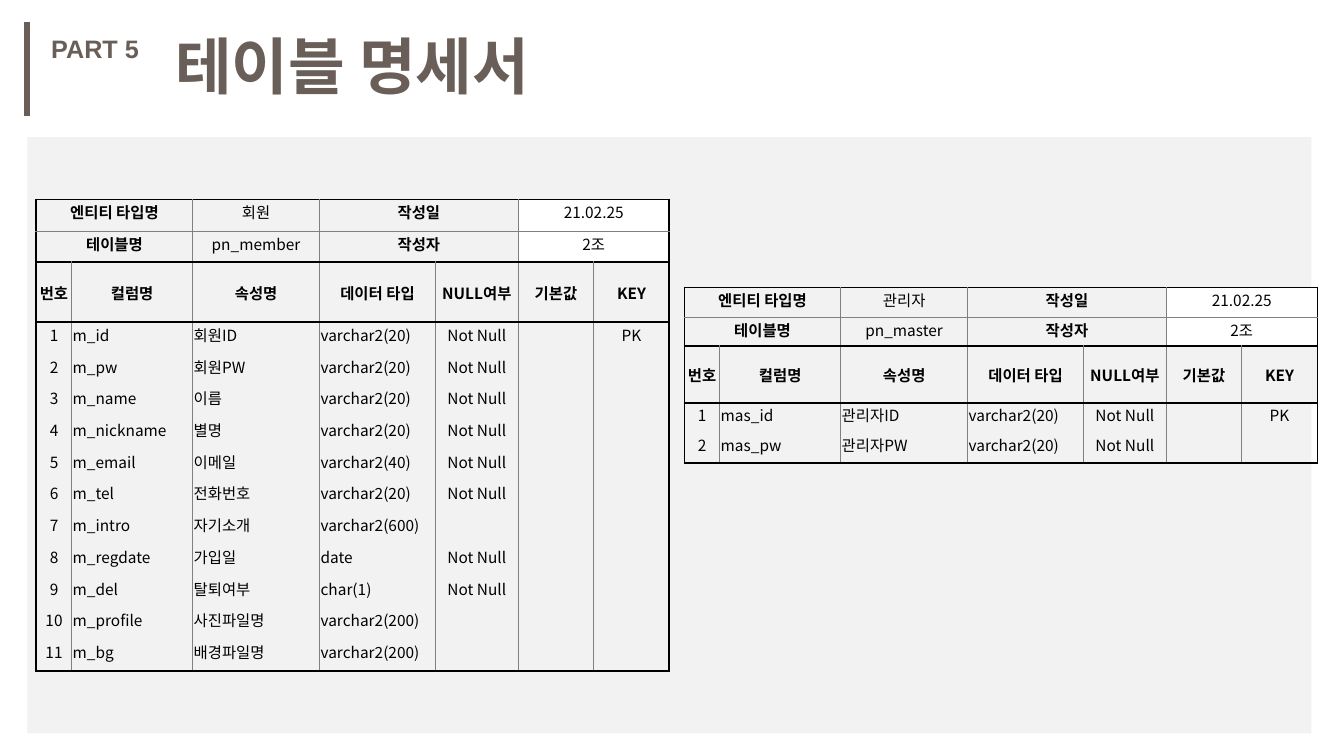
import dataclasses

import lxml.etree
import pptx
import pptx.dml.color
import pptx.enum.shapes
import pptx.enum.text
import pptx.oxml.ns
import pptx.util

Pt = pptx.util.Pt
qn = pptx.oxml.ns.qn
Align = pptx.enum.text.PP_ALIGN
Anchor = pptx.enum.text.MSO_ANCHOR


@dataclasses.dataclass(frozen=True)
class Theme:
    """Colours, fonts and type sizes of the slide."""
    brown: str = "6A5F58"
    gray: str = "F2F2F2"
    rule: str = "808080"
    black: str = "000000"
    white: str = "FFFFFF"
    sans: str = "Arial"
    hangul: str = "Noto Sans CJK KR"
    title: int = 44
    label: int = 18
    cell: int = 11


THEME = Theme()
WIDTHS = (25.2, 86.4, 90.72, 82.8, 59.04, 54, 54)
HEADS = ("번호", "컬럼명", "속성명", "데이터 타입", "NULL여부", "기본값", "KEY")
SPANS = ((0, 1), (2, 2), (3, 4), (5, 6))
NN = "Not Null"
MEMBER = (
    ("m_id", "회원ID", "varchar2(20)", NN, "", "PK"),
    ("m_pw", "회원PW", "varchar2(20)", NN, "", ""),
    ("m_name", "이름", "varchar2(20)", NN, "", ""),
    ("m_nickname", "별명", "varchar2(20)", NN, "", ""),
    ("m_email", "이메일", "varchar2(40)", NN, "", ""),
    ("m_tel", "전화번호", "varchar2(20)", NN, "", ""),
    ("m_intro", "자기소개", "varchar2(600)", "", "", ""),
    ("m_regdate", "가입일", "date", NN, "", ""),
    ("m_del", "탈퇴여부", "char(1)", NN, "", ""),
    ("m_profile", "사진파일명", "varchar2(200)", "", "", ""),
    ("m_bg", "배경파일명", "varchar2(200)", "", "", ""),
)
MASTER = (
    ("mas_id", "관리자ID", "varchar2(20)", NN, "", "PK"),
    ("mas_pw", "관리자PW", "varchar2(20)", NN, "", ""),
)


def rgb(code):
    """Turn a hex code into a colour."""
    return pptx.dml.color.RGBColor.from_string(code)


def write(para, text, size, color, face, bold, align):
    """Add one formatted run to a paragraph."""
    para.alignment = align
    run = para.add_run()
    run.text = text
    font = run.font
    font.size, font.bold, font.name = Pt(size), bold, face
    font.color.rgb = rgb(color)
    lxml.etree.SubElement(run._r.get_or_add_rPr(), qn("a:ea"), typeface=face)


def edge(cell, sides):
    """Draw the four borders of a cell; None leaves a side bare."""
    props = cell._tc.get_or_add_tcPr()
    for spot, (side, line) in enumerate(sides.items()):
        node = lxml.etree.Element(qn("a:ln" + side))
        props.insert(spot, node)
        if line:
            color, width = line
            node.set("w", str(Pt(width)))
            fill = lxml.etree.SubElement(node, qn("a:solidFill"))
            lxml.etree.SubElement(fill, qn("a:srgbClr"), val=color)
        else:
            lxml.etree.SubElement(node, qn("a:noFill"))


def panel(slide, box):
    """Place the gray panel behind the tables."""
    shape = slide.shapes.add_shape(
        pptx.enum.shapes.MSO_SHAPE.RECTANGLE, *map(Pt, box))
    shape.shadow.inherit = False
    shape.fill.solid()
    shape.fill.fore_color.rgb = rgb(THEME.gray)
    shape.line.fill.background()


def header(slide, box):
    """Place the bar, section label and title."""
    left, top, width, height = box
    bar = slide.shapes.add_connector(
        pptx.enum.shapes.MSO_CONNECTOR.STRAIGHT,
        Pt(left), Pt(top), Pt(left), Pt(top + height))
    bar.line.color.rgb = rgb(THEME.brown)
    bar.line.width = Pt(4.5)
    lxml.etree.SubElement(bar._element.spPr, qn("a:effectLst"))

    label = slide.shapes.add_textbox(Pt(left + 10), Pt(top + 4), Pt(78), Pt(29))
    label.text_frame.word_wrap = False
    write(label.text_frame.paragraphs[0], "PART 5", THEME.label, THEME.brown,
          THEME.sans, True, Align.LEFT)

    title = slide.shapes.title
    title.left, title.top = Pt(left + 98.5), Pt(top)
    title.width, title.height = Pt(width - 98.5), Pt(60.5)
    frame = title.text_frame
    frame.word_wrap = False
    frame.auto_size = pptx.enum.text.MSO_AUTO_SIZE.NONE
    frame.vertical_anchor = Anchor.MIDDLE
    write(frame.paragraphs[0], "테이블 명세서", THEME.title, THEME.brown,
          THEME.hangul, True, Align.LEFT)


def fill_cell(cell, text, bold, align, fill, anchor):
    """Set the text, margins and fill of a cell."""
    cell.margin_left = cell.margin_top = cell.margin_right = Pt(0.72)
    cell.margin_bottom = Pt(0)
    cell.vertical_anchor = anchor
    if fill:
        cell.fill.solid()
        cell.fill.fore_color.rgb = rgb(fill)
    else:
        cell.fill.background()
    para = cell.text_frame.paragraphs[0]
    if text:
        write(para, text, THEME.cell, THEME.black, THEME.hangul, bold, align)
    else:
        lxml.etree.SubElement(para._p, qn("a:endParaRPr"),
                              sz=str(THEME.cell * 100))


def table_spec(slide, box, tall, names, data):
    """Place a table specification: two info rows, heads and columns."""
    left, top, width, height = box
    infos = (("엔티티 타입명", names[0], "작성일", "21.02.25"),
             ("테이블명", names[1], "작성자", "2조"))
    rows = [[info[0], "", info[1], info[2], "", info[3], ""] for info in infos]
    rows.append(HEADS)
    rows += [(str(num), *row) for num, row in enumerate(data, 1)]
    last = len(rows) - 1
    table = slide.shapes.add_table(
        len(rows), len(HEADS), Pt(left), Pt(top), Pt(width), Pt(height)).table
    table.first_row = table.horz_banding = False
    for col, size in zip(table.columns, WIDTHS):
        col.width = Pt(size)
    rest = (height - sum(tall)) / len(data)
    for r, row in enumerate(table.rows):
        row.height = Pt(tall[r] if r < 3 else rest)

    thick, thin = (THEME.black, 1.5), (THEME.rule, 1)
    lines = [thick, thin, thick, thick] + [None] * (last - 3) + [thick]
    for r, row in enumerate(rows):
        for c, text in enumerate(row):
            cell = table.cell(r, c)
            if r < 2:
                bold = c in (0, 3)
                fill = (THEME.gray if c in (0, 1, 3, 4)
                        else THEME.white if c > 4 else None)
            else:
                bold = r == 2
                fill = THEME.gray if bold else None
            align = Align.LEFT if r > 2 and c in (1, 2, 3) else Align.CENTER
            anchor = Anchor.MIDDLE if r == 2 else Anchor.TOP
            fill_cell(cell, text, bold, align, fill, anchor)
            start, end = next(s for s in SPANS if c in s) if r < 2 else (c, c)
            edge(cell, {"L": thick if start == 0 else thin,
                        "R": thick if end == 6 else thin,
                        "T": lines[r], "B": lines[r + 1]})
    for r in range(2):
        for start, end in SPANS:
            if end > start:
                table.cell(r, start).merge(table.cell(r, end))


def main():
    """Build and save the slide."""
    deck = pptx.Presentation()
    deck.slide_width, deck.slide_height = Pt(960), Pt(540)
    slide = deck.slides.add_slide(deck.slide_layouts[5])
    panel(slide, (19.5, 98, 917.3, 426))
    header(slide, (19.5, 16, 388.5, 67))
    table_spec(slide, (26, 142.5, 452.16, 337), (22.6, 22, 43.2),
               ("회원", "pn_member"), MEMBER)
    table_spec(slide, (488.9, 205.4, 452.16, 125.3), (21.3, 20.4, 40.8),
               ("관리자", "pn_master"), MASTER)
    deck.save("out.pptx")


if __name__ == "__main__":
    main()
